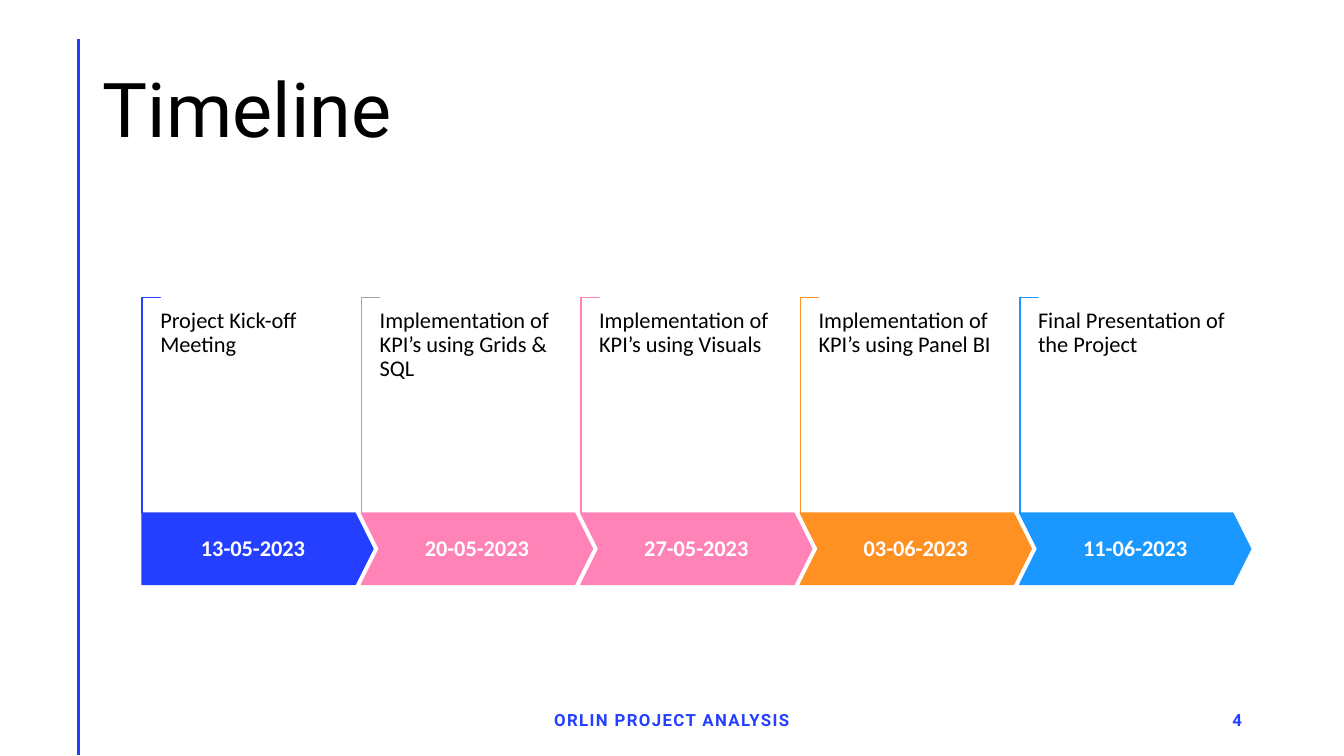
from dataclasses import dataclass

from lxml.etree import SubElement
from pptx import Presentation
from pptx.dml.color import RGBColor
from pptx.enum.shapes import MSO_CONNECTOR, MSO_SHAPE
from pptx.enum.text import MSO_ANCHOR, MSO_AUTO_SIZE, PP_ALIGN
from pptx.oxml.ns import qn
from pptx.shapes.autoshape import Shape
from pptx.slide import Slide
from pptx.text.text import TextFrame
from pptx.util import Cm, Pt

HEX = {
    "blue": "243FFF", "pink": "FF83B6", "orange": "FF9022", "sky": "1A98FF",
    "gray": "A5A5A5", "black": "000000", "white": "FFFFFF",
}

# Timeline geometry in centimetres
LEFT, STEP = 3.58, 5.53
ARROW_TOP, ARROW_WIDTH, ARROW_HEIGHT = 12.93, 5.82, 1.8
STEM_TOP, STEM_DEPTH = 7.49, 0.46
STEM_LENGTH = ARROW_TOP - STEM_TOP


@dataclass
class Stage:
    date: str
    task: str
    fill: str
    stem: str


@dataclass
class Note:
    text: str
    left: float
    width: float
    align: PP_ALIGN


STAGES = [
    Stage("13-05-2023", "Project Kick-off Meeting", "blue", "blue"),
    Stage("20-05-2023", "Implementation of KPI’s using Grids & SQL", "pink", "gray"),
    Stage("27-05-2023", "Implementation of KPI’s using Visuals", "pink", "pink"),
    Stage("03-06-2023", "Implementation of KPI’s using Panel BI", "orange", "orange"),
    Stage("11-06-2023", "Final Presentation of the Project", "sky", "sky"),
]

NOTES = [
    Note("ORLIN PROJECT ANALYSIS", 11.22, 11.43, PP_ALIGN.CENTER),
    Note("4", 23.93, 7.62, PP_ALIGN.RIGHT),
]


def color(name: str) -> RGBColor:
    return RGBColor.from_string(HEX[name])


def write(frame: TextFrame, text: str, size: float, tint: str, font: str = "Calibri",
          bold: bool = False, align: PP_ALIGN = PP_ALIGN.LEFT,
          anchor: MSO_ANCHOR = MSO_ANCHOR.MIDDLE, track: int = 0) -> None:
    """Fill a frame with one run; track is letter spacing in 1/100 pt."""
    frame.word_wrap = True
    frame.auto_size = MSO_AUTO_SIZE.NONE
    frame.vertical_anchor = anchor
    par = frame.paragraphs[0]
    par.alignment = align
    par.line_spacing = 0.9
    run = par.add_run()
    run.text = text
    run.font.name = font
    run.font.size = Pt(size)
    run.font.bold = bold
    run.font.color.rgb = color(tint)
    if track:
        run.font._element.set("spc", str(track))


def paint(shape: Shape, fill: str, line: str) -> None:
    shape.shadow.inherit = False
    shape.fill.solid()
    shape.fill.fore_color.rgb = color(fill)
    shape.line.color.rgb = color(line)
    shape.line.width = Pt(1)


def add_rule(slide: Slide) -> None:
    rule = slide.shapes.add_connector(
        MSO_CONNECTOR.STRAIGHT, Cm(1.98), Cm(0.98), Cm(1.98), Cm(19.03))
    rule.line.color.rgb = color("blue")
    rule.line.width = Pt(2)
    SubElement(rule._element.spPr, qn("a:effectLst"))


def add_title(slide: Slide) -> None:
    title = slide.shapes.title
    title.left, title.top = Cm(2.34), Cm(1.02)
    title.width, title.height = Cm(29.21), Cm(3.68)
    write(title.text_frame, "Timeline", 54, "black", "Roboto")


def add_stage(slide: Slide, index: int, stage: Stage) -> None:
    left = LEFT + index * STEP
    shift = (STEM_LENGTH - STEM_DEPTH) / 2  # offset of the box before its turn
    stem = slide.shapes.add_shape(
        MSO_SHAPE.CORNER, Cm(left - shift), Cm(STEM_TOP + shift),
        Cm(STEM_LENGTH), Cm(STEM_DEPTH))
    stem.rotation = 90
    stem.adjustments[0] = stem.adjustments[1] = 0.01
    paint(stem, "white", stage.stem)

    kind = MSO_SHAPE.CHEVRON if index else MSO_SHAPE.PENTAGON
    arrow = slide.shapes.add_shape(
        kind, Cm(left), Cm(ARROW_TOP), Cm(ARROW_WIDTH), Cm(ARROW_HEIGHT))
    arrow.adjustments[0] = 0.25
    paint(arrow, stage.fill, stage.fill)
    write(arrow.text_frame, stage.date, 16, "white", bold=True, align=PP_ALIGN.CENTER)

    box = slide.shapes.add_textbox(
        Cm(left + STEM_DEPTH), Cm(7.78), Cm(4.72), Cm(3.81))
    frame = box.text_frame
    frame.margin_left = frame.margin_right = frame.margin_top = frame.margin_bottom = 0
    write(frame, stage.task, 16, "black", anchor=MSO_ANCHOR.TOP)


def add_note(slide: Slide, note: Note) -> None:
    box = slide.shapes.add_textbox(Cm(note.left), Cm(17.65), Cm(note.width), Cm(1.02))
    write(box.text_frame, note.text, 12, "blue", "Roboto", True, note.align, track=100)


def main() -> None:
    deck = Presentation()
    deck.slide_width, deck.slide_height = Cm(33.87), Cm(19.05)
    slide = deck.slides.add_slide(deck.slide_layouts.get_by_name("Title Only"))
    add_rule(slide)
    add_title(slide)
    for index, stage in enumerate(STAGES):
        add_stage(slide, index, stage)
    for note in NOTES:
        add_note(slide, note)
    deck.save("out.pptx")


if __name__ == "__main__":
    main()
